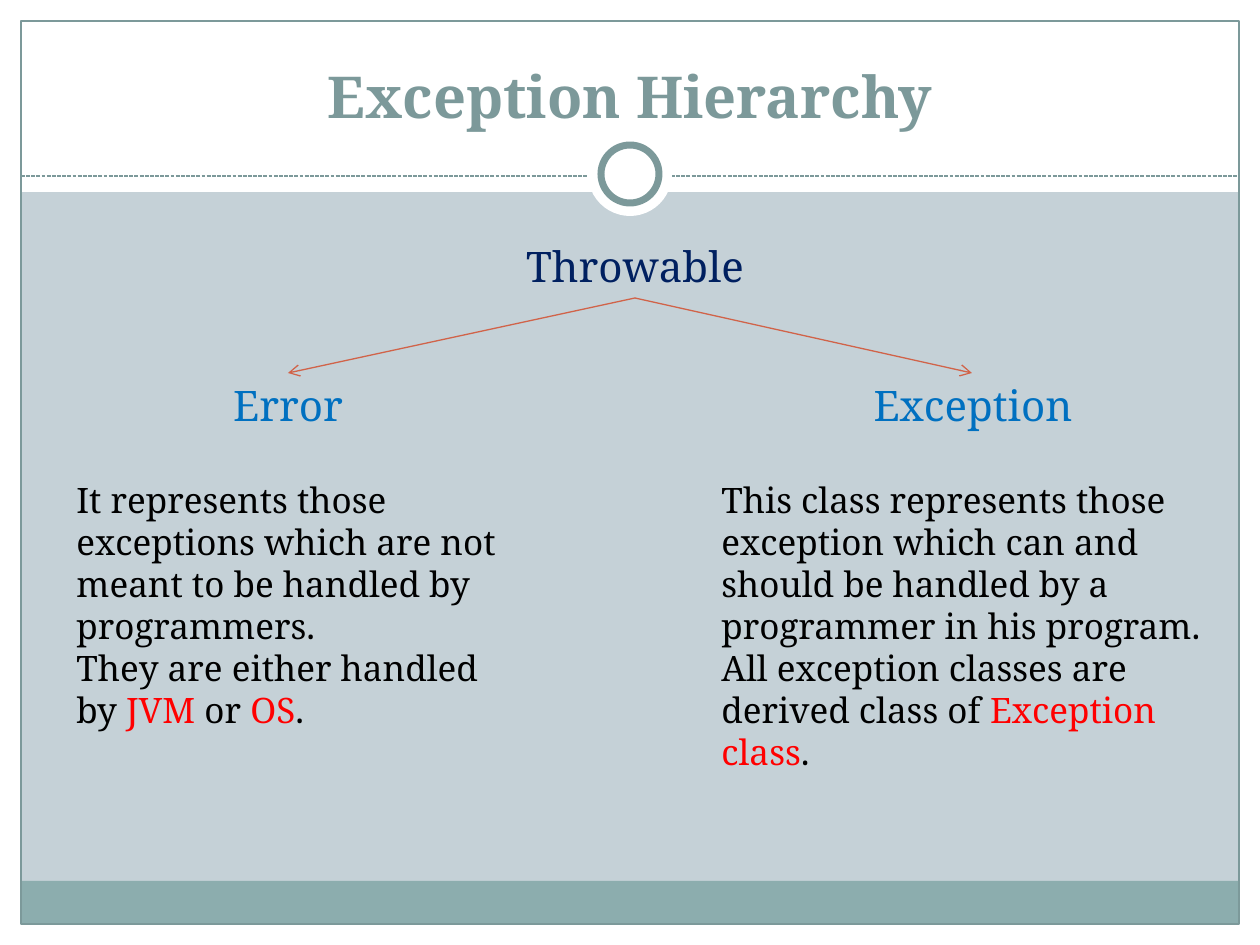
import pptx
import pptx.util
import pptx.dml.color
import pptx.enum.dml
import pptx.enum.shapes
import pptx.enum.text
import pptx.oxml

RGB = pptx.dml.color.RGBColor
SHAPE = pptx.enum.shapes.MSO_SHAPE
ALIGN = pptx.enum.text.PP_ALIGN
ANCHOR = pptx.enum.text.MSO_ANCHOR
NS = 'xmlns:a="http://schemas.openxmlformats.org/drawingml/2006/main"'

WHITE, BLACK, RED = RGB(255, 255, 255), RGB(0, 0, 0), RGB(255, 0, 0)
BACKDROP = RGB(0xC5, 0xD1, 0xD7)
FOOTER = RGB(0x8C, 0xAD, 0xAE)
SAGE = RGB(0x7C, 0x99, 0x9A)
NAVY = RGB(0x00, 0x20, 0x60)
BLUE = RGB(0x00, 0x70, 0xC0)
RUST = RGB(0xD1, 0x63, 0x49)

FONT = "Noto Serif"
PIXEL = 914400 // 126
WIDTH, HEIGHT = 1260, 945
MARGIN = 21
RIGHT, BOTTOM = WIDTH - MARGIN, HEIGHT - MARGIN
HEADER_HEIGHT, DIVIDER_Y = 192, 176
RING_X, RING_Y = WIDTH // 2, 174
NODE_SIZE = (348, 63)
DETAIL_TOP, DETAIL_HEIGHT = 472, 267

TITLE = "Exception Hierarchy"
ROOT = ("Throwable", 461, 234, NAVY)
BRANCHES = [("Error", 114, 373, BLUE), ("Exception", 799, 373, BLUE)]
ARROW_START = (635, 298)
ARROW_ENDS = [(288, 373), (972, 373)]
# Each detail: left, width, paragraphs of (text, colour) runs
DETAILS = [
    (64, 446, [
        [("It represents those exceptions which are not meant to be handled "
          "by programmers.", BLACK)],
        [("They are either handled by ", BLACK), ("JVM", RED), (" or ", BLACK),
         ("OS", RED), (".", BLACK)],
    ]),
    (709, 525, [
        [("This class represents those exception which can and should be "
          "handled by a programmer in his program.", BLACK)],
        [("All exception classes are derived class of ", BLACK),
         ("Exception class", RED), (".", BLACK)],
    ]),
]
# Panels: left, top, width, height, fill
PANELS = [
    (0, BOTTOM, WIDTH, MARGIN, WHITE),
    (0, 0, WIDTH, HEADER_HEIGHT, WHITE),
    (0, 0, MARGIN, HEIGHT, WHITE),
    (RIGHT, 0, MARGIN, HEIGHT, WHITE),
    (MARGIN, 881, RIGHT - MARGIN, BOTTOM - 881, FOOTER),
]


def emu(*pixels):
    """Turn pixel lengths into EMU."""
    return [pptx.util.Emu(pixel * PIXEL) for pixel in pixels]


def add_panel(kind, left, top, width, height, fill=None, line=None, points=0.75):
    """Draw a preset shape with an optional fill and outline."""
    panel = slide.shapes.add_shape(kind, *emu(left, top, width, height))
    panel.shadow.inherit = False
    if fill is None:
        panel.fill.background()
    else:
        panel.fill.solid()
        panel.fill.fore_color.rgb = fill
    if line is None:
        panel.line.fill.background()
    else:
        panel.line.color.rgb = line
        panel.line.width = pptx.util.Pt(points)


def add_disc(diameter, **style):
    """Draw a circle centred on the header ring."""
    radius = diameter // 2
    add_panel(SHAPE.OVAL, RING_X - radius, RING_Y - radius, diameter, diameter, **style)


def add_line(start, end, colour):
    """Draw a thin straight line without a shadow."""
    line = slide.shapes.add_connector(
        pptx.enum.shapes.MSO_CONNECTOR.STRAIGHT, *emu(*start, *end))
    line.line.color.rgb = colour
    line.line.width = pptx.util.Pt(0.75)
    line._element.spPr.append(pptx.oxml.parse_xml(f"<a:effectLst {NS}/>"))
    return line


def add_text(box, paragraphs, size, align=ALIGN.LEFT, anchor=ANCHOR.TOP, bold=False):
    """Write paragraphs of coloured runs into a wrapping text box."""
    frame = slide.shapes.add_textbox(*emu(*box)).text_frame
    frame.word_wrap = True
    frame.vertical_anchor = anchor
    for index, runs in enumerate(paragraphs):
        paragraph = frame.add_paragraph() if index else frame.paragraphs[0]
        paragraph.alignment = align
        paragraph.font.name = FONT
        paragraph.font.size = pptx.util.Pt(size)
        paragraph.font.bold = bold
        for text, colour in runs:
            run = paragraph.add_run()
            run.text = text
            run.font.color.rgb = colour


presentation = pptx.Presentation()
presentation.slide_width, presentation.slide_height = emu(WIDTH, HEIGHT)
slide = presentation.slides.add_slide(presentation.slide_layouts[6])
slide.background.fill.solid()
slide.background.fill.fore_color.rgb = BACKDROP

for *box, fill in PANELS:
    add_panel(SHAPE.RECTANGLE, *box, fill=fill)
add_panel(SHAPE.RECTANGLE, MARGIN, MARGIN, RIGHT - MARGIN, BOTTOM - MARGIN, line=SAGE)
divider = add_line((MARGIN, DIVIDER_Y), (RIGHT, DIVIDER_Y), SAGE)
divider.line.dash_style = pptx.enum.dml.MSO_LINE.SQUARE_DOT
add_disc(84, fill=WHITE)
add_disc(58, fill=WHITE, line=SAGE, points=4)

add_text((42, 32, 1176, 104), [[(TITLE, SAGE)]], 33, ALIGN.CENTER, ANCHOR.BOTTOM, True)
for label, left, top, colour in [ROOT, *BRANCHES]:
    add_text((left, top, *NODE_SIZE), [[(label, colour)]], 24, ALIGN.CENTER)
for end in ARROW_ENDS:
    arrow = add_line(ARROW_START, end, RUST)
    arrow.line._get_or_add_ln().append(
        pptx.oxml.parse_xml(f'<a:tailEnd {NS} type="arrow"/>'))
for left, width, paragraphs in DETAILS:
    add_text((left, DETAIL_TOP, width, DETAIL_HEIGHT), paragraphs, 20)

presentation.save("out.pptx")
